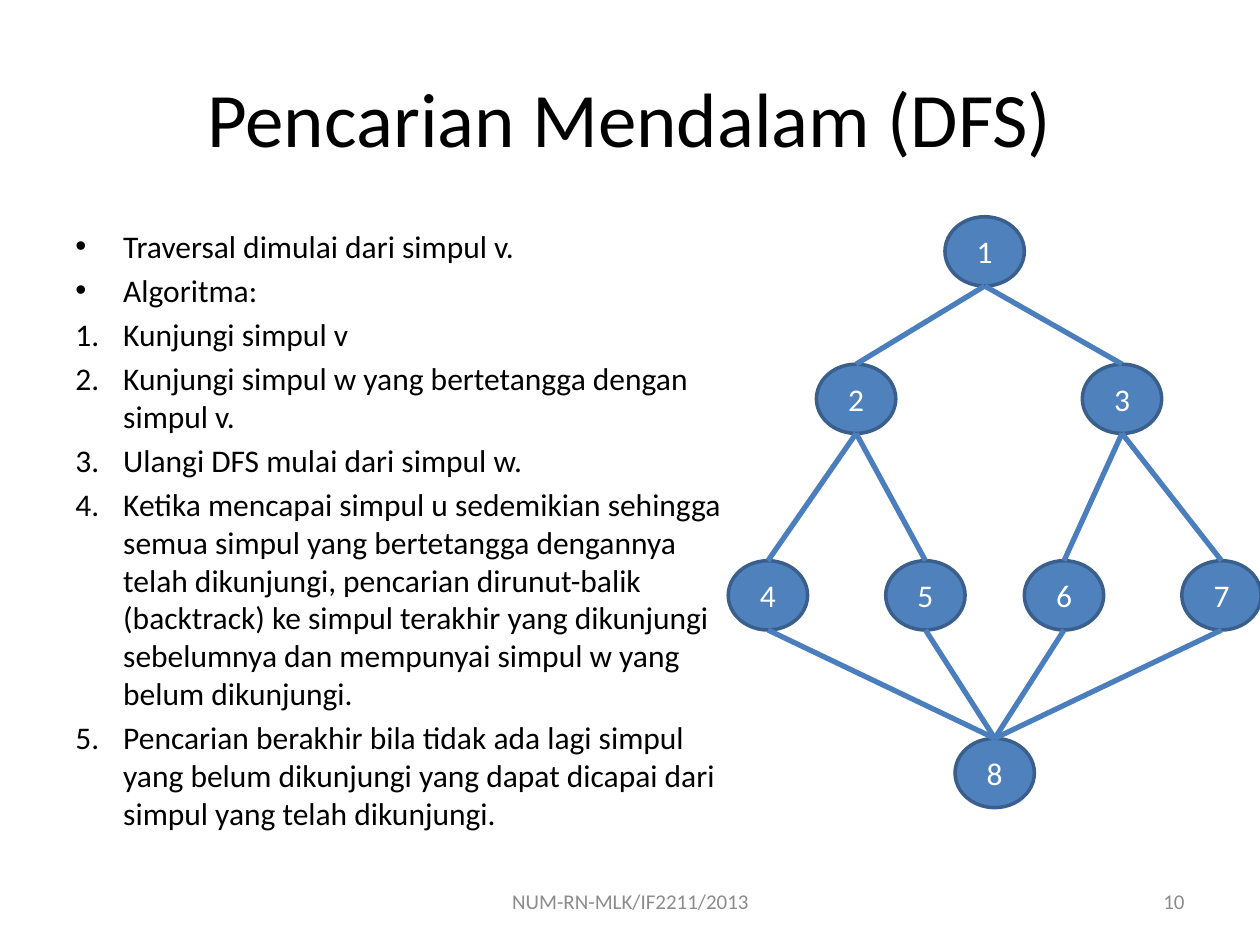
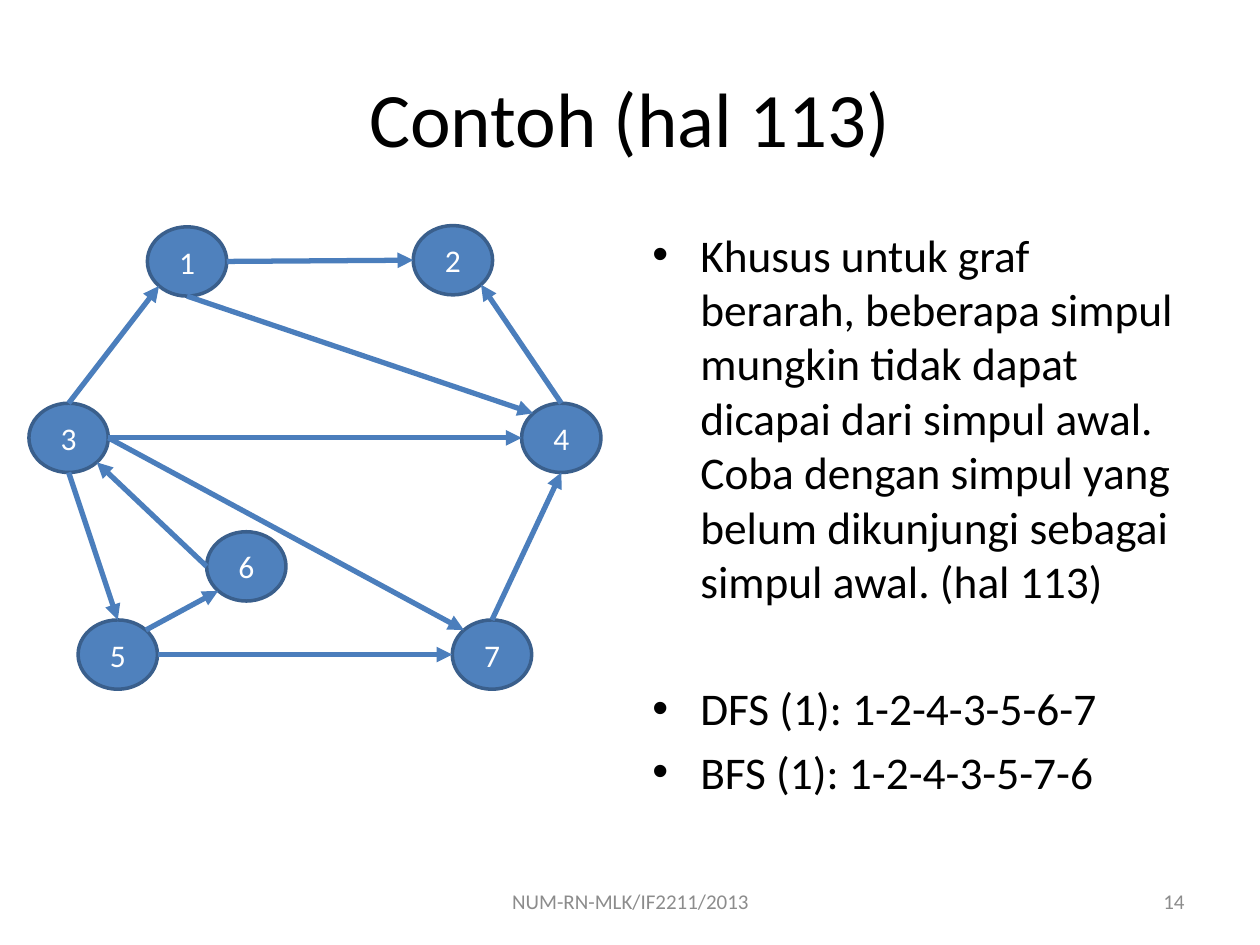
import math
from typing import NamedTuple

import pptx
import pptx.dml.color
import pptx.enum.shapes
import pptx.enum.text
import pptx.oxml.ns
import pptx.util
from lxml import etree
from pptx.util import Inches

COLORS = {
    "title": "000000",
    "body": "000000",
    "footer": "8C8C8C",
    "node": "4F81BD",
    "rim": "3A5F8C",
    "edge": "4B7EBC",
    "label": "FFFFFF",
}
FONT = "Calibri"
COURSE = "NUM-RN-MLK/IF2211/2013"
WIDE, HIGH = 0.63, 0.55
INDENT = Inches(0.38)
TOP, BL, LEFT, TL, BOTTOM, BR, RIGHT = 0, 3, 2, 1, 4, 5, 6
SITES = 8
Align = pptx.enum.text.PP_ALIGN
Anchor = pptx.enum.text.MSO_ANCHOR
qn = pptx.oxml.ns.qn


class Box(NamedTuple):
    left: float
    top: float
    width: float
    height: float


class Item(NamedTuple):
    text: str
    before: float
    numbered: bool = False


class Node(NamedTuple):
    left: float
    top: float


class Edge(NamedTuple):
    start: int
    out: int
    end: int
    into: int


class Page(NamedTuple):
    title: str
    number: int
    body: Box
    size: float
    items: list[Item]
    nodes: list[Node]
    edges: list[Edge]
    arrows: bool


TITLE = Box(0.5, 0.3, 9, 1.25)
CENTER = Box(3.42, 6.95, 3.17, 0.4)
CORNER = Box(7.17, 6.95, 2.33, 0.4)

TREE = [(1, 2), (1, 3), (2, 4), (2, 5), (3, 6), (3, 7),
        (4, 8), (5, 8), (6, 8), (7, 8)]

PAGES = [
    Page(
        "Pencarian Mendalam (DFS)", 10, Box(0.5, 1.75, 5.36, 4.95), 18,
        [
            Item("Traversal dimulai dari simpul v.", 0),
            Item("Algoritma:", 3.6),
            Item("Kunjungi simpul v", 3.6, True),
            Item("Kunjungi simpul w yang bertetangga dengan simpul v.", 3.6, True),
            Item("Ulangi DFS mulai dari simpul w.", 3.6, True),
            Item("Ketika mencapai simpul u sedemikian sehingga semua simpul yang "
                 "bertetangga dengannya telah dikunjungi, pencarian dirunut-balik "
                 "(backtrack) ke simpul terakhir yang dikunjungi sebelumnya dan "
                 "mempunyai simpul w yang belum dikunjungi.", 3.6, True),
            Item("Pencarian berakhir bila tidak ada lagi simpul yang belum "
                 "dikunjungi yang dapat dicapai dari simpul yang telah "
                 "dikunjungi.", 3.6, True),
        ],
        [Node(7.5, 1.72), Node(6.48, 2.89), Node(8.59, 2.89), Node(5.78, 4.45),
         Node(7.03, 4.45), Node(8.13, 4.45), Node(9.38, 4.45), Node(7.58, 5.86)],
        [Edge(start, BOTTOM, end, TOP) for start, end in TREE],
        False,
    ),
    Page(
        "Contoh (hal 113)", 14, Box(5.08, 1.75, 4.42, 4.95), 25.9,
        [
            Item("Khusus untuk graf berarah, beberapa simpul mungkin tidak dapat "
                 "dicapai dari simpul awal. Coba dengan simpul yang belum "
                 "dikunjungi sebagai simpul awal. (hal 113)", 0),
            Item("DFS (1): 1-2-4-3-5-6-7", 41.5),
            Item("BFS (1): 1-2-4-3-5-7-6", 5.2),
        ],
        [Node(1.17, 1.8), Node(3.28, 1.79), Node(0.23, 3.2), Node(4.14, 3.2),
         Node(0.62, 4.92), Node(1.64, 4.22), Node(3.59, 4.92)],
        [
            Edge(1, RIGHT, 2, LEFT),
            Edge(3, TOP, 1, BL),
            Edge(3, RIGHT, 4, LEFT),
            Edge(1, BOTTOM, 4, TL),
            Edge(4, TOP, 2, BR),
            Edge(3, BOTTOM, 5, TOP),
            Edge(5, SITES - 1, 6, BL),
            Edge(6, LEFT, 3, BR),
            Edge(5, RIGHT, 7, LEFT),
            Edge(3, RIGHT, 7, TL),
            Edge(7, TOP, 4, BOTTOM),
        ],
        True,
    ),
]


def paint(name: str) -> pptx.dml.color.RGBColor:
    return pptx.dml.color.RGBColor.from_string(COLORS[name])


def style(para, size: float, color: str) -> None:
    para.font.name = FONT
    para.font.size = pptx.util.Pt(size)
    para.font.color.rgb = paint(color)


def add_box(slide, box: Box):
    frame = slide.shapes.add_textbox(*map(Inches, box)).text_frame
    frame.word_wrap = True
    return frame


def add_line(slide, box: Box, text: str, size: float, color: str, align) -> None:
    frame = add_box(slide, box)
    frame.vertical_anchor = Anchor.MIDDLE
    para = frame.paragraphs[0]
    para.text = text
    para.alignment = align
    style(para, size, color)


def add_mark(para, numbered: bool) -> None:
    props = para._p.get_or_add_pPr()
    props.set("marL", str(INDENT))
    props.set("indent", str(-INDENT))
    if numbered:
        etree.SubElement(props, qn("a:buFont"), typeface="+mj-lt")
        etree.SubElement(props, qn("a:buAutoNum"), type="arabicPeriod")
    else:
        etree.SubElement(props, qn("a:buFont"), typeface="Arial")
        etree.SubElement(props, qn("a:buChar"), char="•")


def add_body(slide, page: Page) -> None:
    frame = add_box(slide, page.body)
    for index, item in enumerate(page.items):
        para = frame.add_paragraph() if index else frame.paragraphs[0]
        para.text = item.text
        add_mark(para, item.numbered)
        para.space_before = pptx.util.Pt(item.before)
        style(para, page.size, "body")


def add_node(slide, node: Node, label: str):
    oval = slide.shapes.add_shape(
        pptx.enum.shapes.MSO_SHAPE.OVAL,
        *map(Inches, (node.left, node.top, WIDE, HIGH)))
    oval.shadow.inherit = False
    oval.fill.solid()
    oval.fill.fore_color.rgb = paint("node")
    oval.line.color.rgb = paint("rim")
    oval.line.width = pptx.util.Pt(2)
    oval.text_frame.vertical_anchor = Anchor.MIDDLE
    para = oval.text_frame.paragraphs[0]
    para.text = label
    para.alignment = Align.CENTER
    style(para, 18, "label")
    return oval


def find_site(node: Node, site: int) -> tuple[int, int]:
    angle = math.tau * site / SITES
    return (Inches(node.left + WIDE / 2 * (1 - math.sin(angle))),
            Inches(node.top + HIGH / 2 * (1 - math.cos(angle))))


def add_edge(slide, page: Page, edge: Edge, ovals: list) -> None:
    line = slide.shapes.add_connector(
        pptx.enum.shapes.MSO_CONNECTOR.STRAIGHT,
        *find_site(page.nodes[edge.start - 1], edge.out),
        *find_site(page.nodes[edge.end - 1], edge.into))
    line.line.color.rgb = paint("edge")
    line.line.width = pptx.util.Pt(3)
    joints = line._element.find(".//" + qn("p:cNvCxnSpPr"))
    for tag, node, site in (("a:stCxn", edge.start, edge.out),
                            ("a:endCxn", edge.end, edge.into)):
        etree.SubElement(joints, qn(tag), id=str(ovals[node - 1].shape_id),
                         idx=str(site))
    props = line._element.spPr
    if page.arrows:
        etree.SubElement(props.find(qn("a:ln")), qn("a:tailEnd"), type="triangle")
    etree.SubElement(props, qn("a:effectLst"))


def add_page(deck, page: Page) -> None:
    slide = deck.slides.add_slide(deck.slide_layouts[6])
    add_line(slide, TITLE, page.title, 44, "title", Align.CENTER)
    add_body(slide, page)
    ovals = [add_node(slide, node, str(label))
             for label, node in enumerate(page.nodes, 1)]
    for edge in page.edges:
        add_edge(slide, page, edge, ovals)
    add_line(slide, CORNER, str(page.number), 12, "footer", Align.RIGHT)
    add_line(slide, CENTER, COURSE, 12, "footer", Align.CENTER)


def main() -> None:
    deck = pptx.Presentation()
    deck.slide_width = Inches(10)
    deck.slide_height = Inches(7.5)
    for page in PAGES:
        add_page(deck, page)
    deck.save("out.pptx")


if __name__ == "__main__":
    main()
